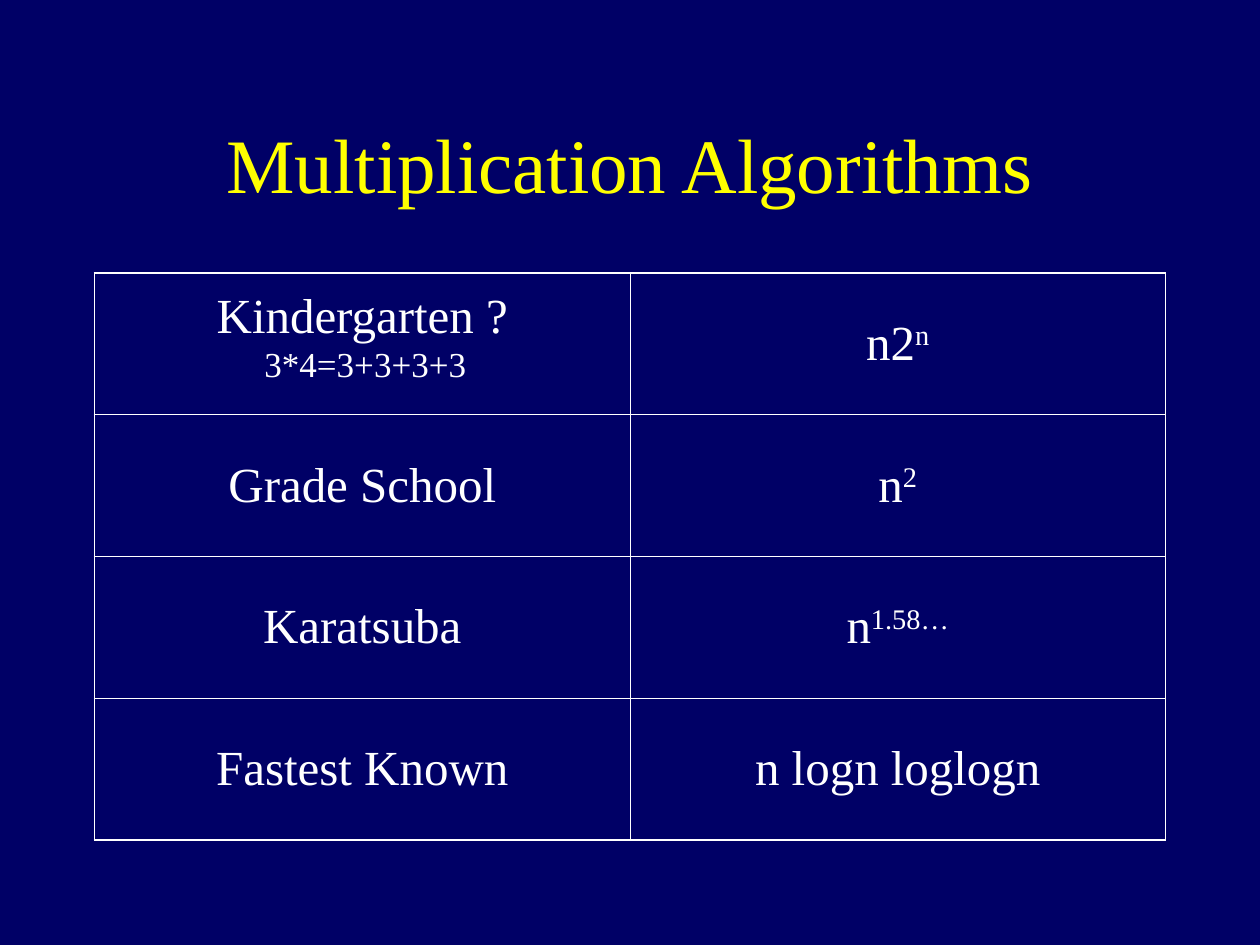
import pptx
import pptx.dml.color
import pptx.enum.text
import pptx.oxml
import pptx.oxml.ns
import pptx.util

NAVY = pptx.dml.color.RGBColor(0x00, 0x00, 0x66)
YELLOW = pptx.dml.color.RGBColor(0xFF, 0xFF, 0x00)
WHITE = pptx.dml.color.RGBColor(0xFF, 0xFF, 0xFF)
FONT = "Times New Roman"
CENTER = pptx.enum.text.PP_ALIGN.CENTER
MIDDLE = pptx.enum.text.MSO_ANCHOR.MIDDLE
OUTER, INNER = 1.08, 0.45

WIDTH, HEIGHT = pptx.util.Inches(10), pptx.util.Inches(7.5)
COL, ROW = WIDTH / 40, HEIGHT / 90

ALGORITHMS = [
    ("Kindergarten ?", "n2", "n"),
    ("Grade School", "n", "2"),
    ("Karatsuba", "n", "1.58…"),
    ("Fastest Known", "n logn loglogn", ""),
]


def grid_box(col, row, cols, rows):
    return [int(v) for v in (col * COL, row * ROW, cols * COL, rows * ROW)]


def style(p, size, color):
    p.font.name = FONT
    p.font.size = pptx.util.Pt(size)
    p.font.color.rgb = color


def add_title(slide, box, text):
    sp = slide.shapes.title
    sp.left, sp.top, sp.width, sp.height = box
    tf = sp.text_frame
    tf.text = text
    tf.vertical_anchor = MIDDLE
    p = tf.paragraphs[0]
    p.alignment = CENTER
    style(p, 44, YELLOW)


def set_borders(cell, widths):
    tc_pr = cell._tc.get_or_add_tcPr()
    for side, width in zip("LRTB", widths):
        tc_pr.append(pptx.oxml.parse_xml(
            f'<a:ln{side} {pptx.oxml.ns.nsdecls("a")} w="{pptx.util.Pt(width)}">'
            f'<a:solidFill><a:srgbClr val="{WHITE}"/></a:solidFill></a:ln{side}>'))


def fill_cell(cell, text, superscript=""):
    cell.vertical_anchor = MIDDLE
    cell.fill.background()
    p = cell.text_frame.paragraphs[0]
    p.alignment = CENTER
    p.add_run().text = text
    if superscript:
        r = p.add_run()
        r.text = superscript
        r.font._element.set("baseline", "30000")
    style(p, 28, WHITE)


def add_algorithm_table(slide, box, algorithms):
    last = len(algorithms) - 1
    table = slide.shapes.add_table(len(algorithms), 2, *box).table
    table.first_row = table.horz_banding = False
    for i, (name, cost, exponent) in enumerate(algorithms):
        top = OUTER if i == 0 else INNER
        bottom = OUTER if i == last else INNER
        set_borders(table.cell(i, 0), (OUTER, INNER, top, bottom))
        set_borders(table.cell(i, 1), (INNER, OUTER, top, bottom))
        fill_cell(table.cell(i, 0), name)
        fill_cell(table.cell(i, 1), cost, exponent)
    table.cell(0, 0).margin_bottom = pptx.util.Inches(0.48)


def add_example(slide, box, text):
    tf = slide.shapes.add_textbox(*box).text_frame
    tf.word_wrap = False
    tf.text = text
    style(tf.paragraphs[0], 20, WHITE)


def main():
    prs = pptx.Presentation()
    prs.slide_width, prs.slide_height = WIDTH, HEIGHT
    slide = prs.slides.add_slide(prs.slide_layouts[5])
    slide.background.fill.solid()
    slide.background.fill.fore_color.rgb = NAVY
    add_title(slide, grid_box(3, 8, 34, 15), "Multiplication Algorithms")
    add_algorithm_table(slide, grid_box(3, 26, 34, 54), ALGORITHMS)
    add_example(slide, grid_box(8, 32, 7.2, 5.25), "3*4=3+3+3+3")
    prs.save("out.pptx")


if __name__ == "__main__":
    main()
